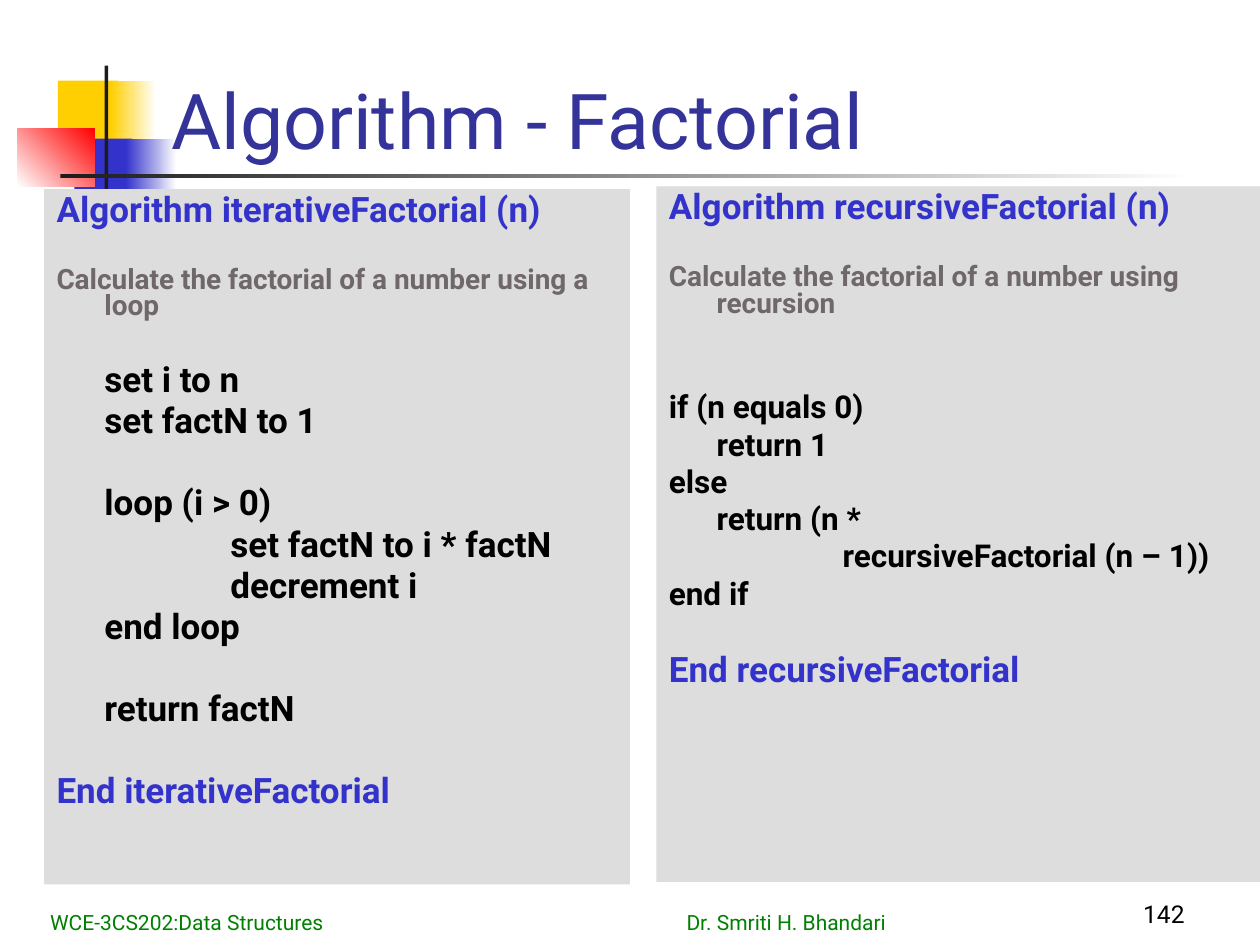
from dataclasses import dataclass

from pptx import Presentation
from pptx.dml.color import RGBColor
from pptx.enum.shapes import MSO_SHAPE as Preset
from pptx.enum.text import MSO_ANCHOR as Anchor, PP_ALIGN as Align
from pptx.util import Inches, Pt


@dataclass(frozen=True)
class Theme:
    font: str = "Roboto"
    white: str = "FFFFFF"
    yellow: str = "FFCF01"
    blue: str = "3333CC"
    red: str = "FF0000"
    rule: str = "1C1C1C"
    panel: str = "DDDDDD"
    title: str = "333399"
    comment: str = "6F676A"
    code: str = "000000"
    footer: str = "008000"
    title_size: int = 44
    heading_size: int = 20
    comment_size: int = 16
    footer_size: int = 12
    number_size: int = 14


THEME = Theme()

# Left, top, width, height, colours from start to end, gradient angle
ORNAMENTS = [
    (0.46, 0.64, 0.48, 0.52, (THEME.yellow,), 0),
    (0.88, 0.64, 0.36, 0.52, (THEME.yellow, THEME.white), 0),
    (0.59, 1.1, 0.46, 0.52, (THEME.blue,), 0),
    (1, 1.1, 0.4, 0.52, (THEME.blue, THEME.white), 0),
    (0.14, 1.02, 0.61, 0.46, (THEME.white, THEME.red), 45),
    (0.83, 0.52, 0.03, 1.15, (THEME.rule,), 0),
    (0.48, 1.38, 9, 0.03, (THEME.rule, THEME.white), 0),
]

# Text, role, indent level, type sizes of the empty lines to leave above
ITERATIVE = [
    ("Algorithm iterativeFactorial (n)", "heading", 0, ()),
    ("Calculate the factorial of a number using a loop", "comment", 0, (16,)),
    ("set i to n", "code", 1, (18,)),
    ("set factN to 1", "code", 1, ()),
    ("loop (i > 0)", "code", 1, (20,)),
    ("set factN to i * factN", "code", 2, ()),
    ("decrement i", "code", 2, ()),
    ("end loop", "code", 1, ()),
    ("return factN", "code", 1, (20,)),
    ("End iterativeFactorial", "heading", 0, (20,)),
]
RECURSIVE = [
    ("Algorithm recursiveFactorial (n)", "heading", 0, ()),
    ("Calculate the factorial of a number using recursion", "comment", 0, (16,)),
    ("if (n equals 0)", "code", 0, (16, 18)),
    ("return 1", "code", 1, ()),
    ("else", "code", 0, ()),
    ("return (n *", "code", 1, ()),
    ("recursiveFactorial (n – 1))", "code", 2, ()),
    ("end if", "code", 0, ()),
    ("End recursiveFactorial", "heading", 0, (18,)),
]
# Left, top, width, height, code size, lines
PANELS = [
    (0.35, 1.5, 4.65, 5.52, 20, ITERATIVE),
    (5.21, 1.48, 4.79, 5.52, 18, RECURSIVE),
]

LINE_SPACING = 0.8
SPACE_BEFORE = 0.22  # share of the type size
EMPTY_LINE = 1.16  # share of the type size, with its space before
# Left margin and first-line indent by level
INDENTS = [(0.38, -0.38), (0.38, 0), (1.38, 0)]


def add_block(slide, box, colours, angle=0):
    """Add a borderless rectangle, plain for one colour or graded for two."""
    shape = slide.shapes.add_shape(Preset.RECTANGLE, *map(Inches, box))
    shape.shadow.inherit = False
    shape.line.fill.background()
    if len(colours) == 1:
        shape.fill.solid()
        shape.fill.fore_color.rgb = RGBColor.from_string(colours[0])
    else:
        shape.fill.gradient()
        shape.fill.gradient_angle = angle
        for position, (stop, colour) in enumerate(zip(shape.fill.gradient_stops, colours)):
            stop.position = position
            stop.color.rgb = RGBColor.from_string(colour)
    return shape


def write(paragraph, text, *, size, colour, bold=False, align=Align.LEFT):
    paragraph.alignment = align
    run = paragraph.add_run()
    run.text = text
    run.font.name = THEME.font
    run.font.size = Pt(size)
    run.font.bold = bold
    run.font.color.rgb = RGBColor.from_string(colour)


def add_label(slide, box, text, **style):
    frame = slide.shapes.add_textbox(*map(Inches, box)).text_frame
    frame.word_wrap = True
    frame.vertical_anchor = Anchor.BOTTOM
    write(frame.paragraphs[0], text, **style)


def add_panel(slide, box, code_size, lines):
    styles = {
        "heading": (THEME.heading_size, THEME.blue),
        "comment": (THEME.comment_size, THEME.comment),
        "code": (code_size, THEME.code),
    }
    frame = add_block(slide, box, (THEME.panel,)).text_frame
    frame.word_wrap = True
    frame.vertical_anchor = Anchor.TOP
    for index, (text, role, level, empty_lines) in enumerate(lines):
        size, colour = styles[role]
        paragraph = frame.add_paragraph() if index else frame.paragraphs[0]
        margin, indent = INDENTS[level]
        properties = paragraph._p.get_or_add_pPr()
        properties.set("marL", str(Inches(margin)))
        properties.set("indent", str(Inches(indent)))
        paragraph.line_spacing = LINE_SPACING
        if index:
            gap = SPACE_BEFORE * size + EMPTY_LINE * sum(empty_lines)
            paragraph.space_before = Pt(round(gap, 1))
        write(paragraph, text, size=size, colour=colour, bold=True)


def main():
    presentation = Presentation()
    presentation.slide_width = Inches(10)
    presentation.slide_height = Inches(7.5)
    slide = presentation.slides.add_slide(presentation.slide_layouts[6])

    for *box, colours, angle in ORNAMENTS:
        add_block(slide, box, colours, angle)
    add_label(slide, (1.26, 0.11, 8.52, 1.25), "Algorithm - Factorial",
              size=THEME.title_size, colour=THEME.title)
    for *box, code_size, lines in PANELS:
        add_panel(slide, box, code_size, lines)

    footer = {"size": THEME.footer_size, "colour": THEME.footer}
    add_label(slide, (0.3, 7.12, 4, 0.35), "WCE-3CS202:Data Structures", **footer)
    add_label(slide, (5.35, 7.12, 2.88, 0.35), "Dr. Smriti H. Bhandari", **footer)
    add_label(slide, (7.42, 6.92, 2.08, 0.5), "142",
              size=THEME.number_size, colour=THEME.code, align=Align.RIGHT)

    presentation.save("out.pptx")


if __name__ == "__main__":
    main()
